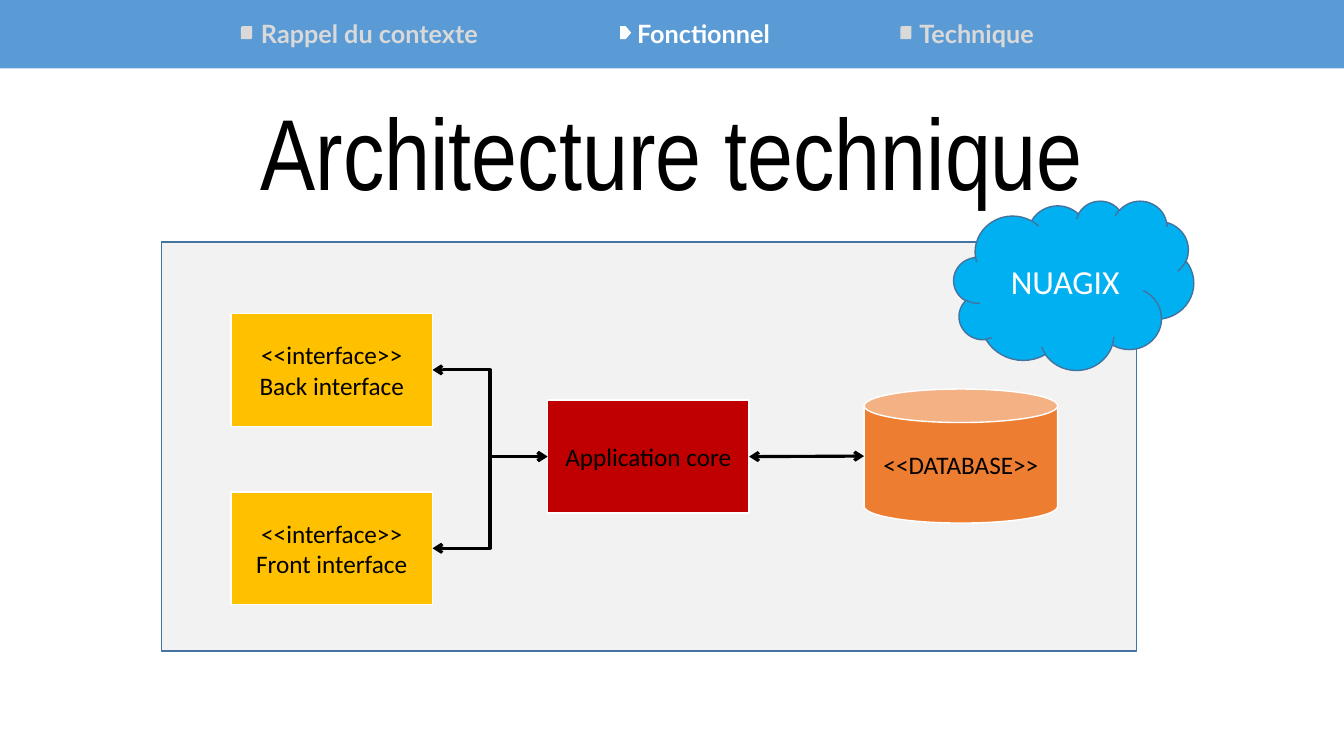
from dataclasses import dataclass

from lxml import etree
from pptx import Presentation
from pptx.dml.color import RGBColor
from pptx.enum.shapes import MSO_CONNECTOR, MSO_SHAPE
from pptx.enum.text import MSO_ANCHOR, MSO_AUTO_SIZE, PP_ALIGN
from pptx.oxml.ns import qn
from pptx.shapes.autoshape import Shape
from pptx.slide import Slide
from pptx.text.text import TextFrame
from pptx.util import Inches, Pt

RECTANGLE = MSO_SHAPE.RECTANGLE
PROCESS = MSO_SHAPE.FLOWCHART_PROCESS
PENTAGON = MSO_SHAPE.PENTAGON
ROUNDED = MSO_SHAPE.ROUND_2_DIAG_RECTANGLE
CLOUD = MSO_SHAPE.CLOUD
CAN = MSO_SHAPE.CAN
STRAIGHT = MSO_CONNECTOR.STRAIGHT
ELBOW = MSO_CONNECTOR.ELBOW
TOP = MSO_ANCHOR.TOP
MIDDLE = MSO_ANCHOR.MIDDLE
NO_AUTOFIT = MSO_AUTO_SIZE.NONE
LEFT = PP_ALIGN.LEFT
CENTER = PP_ALIGN.CENTER

COLORS = {
    "white": "FFFFFF",
    "black": "000000",
    "banner": "5B9BD5",
    "inactive": "D9D9D9",
    "frame": "F2F2F2",
    "outline": "43739E",
    "cloud": "00B0F0",
    "database": "ED7D31",
    "core": "C00000",
    "interface": "FFC000",
}


@dataclass(frozen=True)
class Node:
    geometry: MSO_SHAPE
    left: float
    top: float
    width: float
    height: float
    fill: str
    outline: str | None = None
    lines: tuple[str, ...] = ()
    size: float = 18
    text_color: str = "black"

    @property
    def right(self) -> float:
        return self.left + self.width

    @property
    def middle(self) -> float:
        return self.top + self.height / 2


@dataclass(frozen=True)
class Step:
    label: str
    marker_left: float
    label_left: float
    label_width: float
    active: bool = False


@dataclass(frozen=True)
class Link:
    kind: MSO_CONNECTOR
    source: Node
    target: Node


BANNER = Node(RECTANGLE, 0, 0, 13.33, 0.68, "banner")
FRAME = Node(PROCESS, 1.6, 2.4, 9.67, 4.06, "frame", "outline")
HOST = Node(CLOUD, 9.46, 1.99, 2.38, 1.68, "cloud", "outline", ("NUAGIX",), 24, "white")
DATABASE = Node(CAN, 8.57, 3.86, 1.92, 1.33, "database", "white", ("<<DATABASE>>",))
CORE = Node(PROCESS, 5.43, 3.97, 2, 1.12, "core", "white", ("Application core",))
BACK, FRONT = (
    Node(PROCESS, 2.29, top, 2, 1.12, "interface", "white", ("<<interface>>", name))
    for name, top in (("Back interface", 3.11), ("Front interface", 4.88))
)
NODES = (FRAME, BANNER, HOST, DATABASE, CORE, BACK, FRONT)
STEPS = (
    Step("Rappel du contexte", 2.39, 2.49, 2.98),
    Step("Fonctionnel", 6.15, 6.22, 1.95, True),
    Step("Technique", 8.93, 9.02, 1.83),
)
LINKS = (
    Link(STRAIGHT, CORE, DATABASE),
    Link(ELBOW, BACK, CORE),
    Link(ELBOW, FRONT, CORE),
)


def rgb(name: str) -> RGBColor:
    return RGBColor.from_string(COLORS[name])


def write_lines(
    frame: TextFrame,
    lines: tuple[str, ...],
    font_name: str,
    size: float,
    color: str,
    alignment: PP_ALIGN,
    bold: bool = False,
) -> None:
    for index, line in enumerate(lines):
        paragraph = frame.add_paragraph() if index else frame.paragraphs[0]
        paragraph.alignment = alignment
        run = paragraph.add_run()
        run.text = line
        run.font.name = font_name
        run.font.size = Pt(size)
        run.font.bold = bold
        run.font.color.rgb = rgb(color)


def draw_node(slide: Slide, node: Node) -> Shape:
    shape = slide.shapes.add_shape(
        node.geometry,
        Inches(node.left),
        Inches(node.top),
        Inches(node.width),
        Inches(node.height),
    )
    shape.shadow.inherit = False
    shape.fill.solid()
    shape.fill.fore_color.rgb = rgb(node.fill)
    if node.outline:
        shape.line.color.rgb = rgb(node.outline)
        shape.line.width = Pt(1)
    else:
        shape.line.fill.background()
    frame = shape.text_frame
    frame.word_wrap = True
    frame.vertical_anchor = MIDDLE
    write_lines(frame, node.lines, "Calibri", node.size, node.text_color, CENTER)
    return shape


def draw_step(slide: Slide, step: Step) -> None:
    color = "white" if step.active else "inactive"
    geometry = PENTAGON if step.active else ROUNDED
    draw_node(slide, Node(geometry, step.marker_left, 0.26, 0.11, 0.13, color))
    box = slide.shapes.add_textbox(
        Inches(step.label_left), Inches(0.13), Inches(step.label_width), Inches(0.4)
    )
    box.text_frame.word_wrap = True
    write_lines(box.text_frame, (step.label,), "Lato", 18, color, LEFT, True)


def draw_link(slide: Slide, link: Link) -> None:
    connector = slide.shapes.add_connector(
        link.kind,
        Inches(link.source.right),
        Inches(link.source.middle),
        Inches(link.target.left),
        Inches(link.target.middle),
    )
    connector.line.color.rgb = rgb("black")
    connector.line.width = Pt(2.25)
    properties = connector.element.spPr
    outline = properties.find(qn("a:ln"))
    for end in ("a:headEnd", "a:tailEnd"):
        etree.SubElement(outline, qn(end), type="arrow")
    etree.SubElement(properties, qn("a:effectLst"))


def write_title(slide: Slide, text: str) -> None:
    title = slide.shapes.title
    title.left, title.top = Inches(1.73), Inches(0.84)
    title.width, title.height = Inches(9.87), Inches(1.31)
    frame = title.text_frame
    frame.word_wrap = True
    frame.auto_size = NO_AUTOFIT
    frame.vertical_anchor = TOP
    write_lines(frame, (text,), "Arial Narrow", 72, "black", CENTER)


def main() -> None:
    presentation = Presentation()
    presentation.slide_width = Inches(13.33)
    presentation.slide_height = Inches(7.5)
    slide = presentation.slides.add_slide(presentation.slide_layouts[5])
    write_title(slide, "Architecture technique")
    for node in NODES:
        draw_node(slide, node)
    for step in STEPS:
        draw_step(slide, step)
    for link in LINKS:
        draw_link(slide, link)
    presentation.save("out.pptx")


if __name__ == "__main__":
    main()
